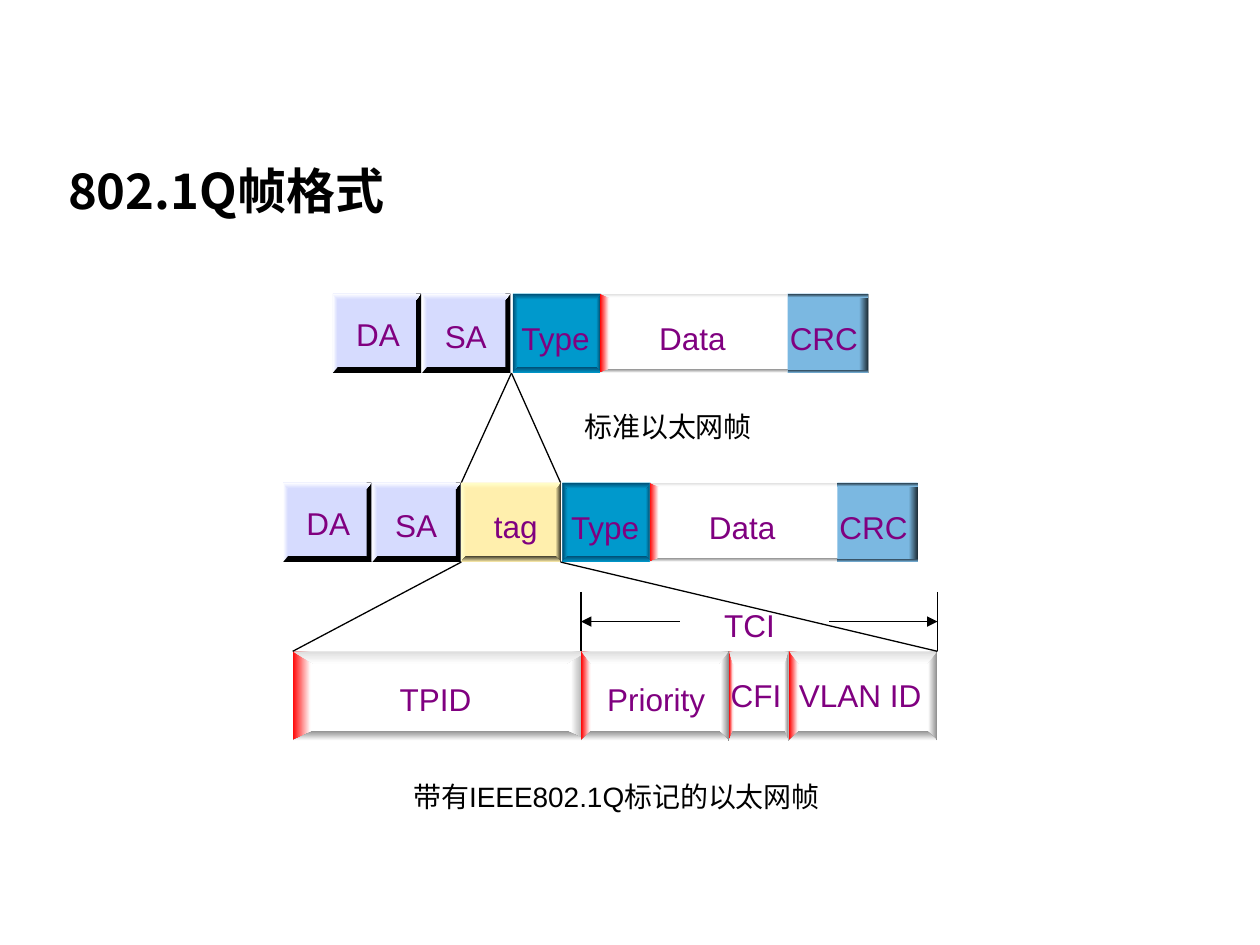
from dataclasses import dataclass

from lxml.etree import SubElement
from pptx import Presentation
from pptx.dml.color import RGBColor
from pptx.enum.shapes import MSO_CONNECTOR, MSO_SHAPE
from pptx.enum.text import MSO_ANCHOR, MSO_AUTO_SIZE, PP_ALIGN
from pptx.oxml.ns import qn
from pptx.util import Cm, Pt

RIGHT, DOWN = 0, 270
PURPLE = "800080"
ROW_H, TAG_ROW_H = 1.6, 1.8
FRAME_Y, TAGGED_Y, TAG_ROW_Y = 5.92, 9.73, 13.13


@dataclass
class Bevel:
    face: str
    left: object
    right: object
    top: object
    bottom: object
    left_w: float = 0.1
    right_w: float = 0.1
    top_h: float = 0.12
    bottom_h: float = 0.12
    inset: float = 0.1


def white_bevel(left_w, right_w, top_h=0.25, bottom_h=0.2, inset=0.2):
    return Bevel("FFFFFF", ("FF0000", "FFFFFF"), ("FFFFFF", "8F8F8F"),
                 ("DDDDDD", "FFFFFF"), ("8E8E8E", "FFFFFF"),
                 left_w, right_w, top_h, bottom_h, inset)


ADDRESS = Bevel("D6DBFE", ("FFFFFF", "D6DBFE"), "000000",
                ("FFFFFF", "D6DBFE"), "000000")
TYPE = Bevel("0099CC", ("004B70", "0099CC"), ("0099CC", "004060"),
             ("004B70", "0099CC"), ("004D74", "0099CC"))
TAG = Bevel("FFEFAD", ("FFFFCC", "FFEFAD"), ("FFEFAD", "433F2D"),
            ("FFFFCC", "FFEFAD"), ("423E2D", "FFEFAD"))
DATA = white_bevel(0.18, 0, 0.08, 0.08)
CRC = Bevel("7BB8E1", None, ("7BB8E1", "20303A"), ("20303B", "7BB8E1"),
            ("20303B", "7BB8E1"), 0, 0.18, 0.08, 0.07, 0)


def rgb(color):
    return RGBColor.from_string(color)


def paint(sp, fill, angle=RIGHT):
    sp.shadow.inherit = False
    sp.line.fill.background()
    if isinstance(fill, str):
        sp.fill.solid()
        sp.fill.fore_color.rgb = rgb(fill)
        return
    sp.fill.gradient()
    sp.fill.gradient_angle = angle
    for stop, color in zip(sp.fill.gradient_stops, fill):
        stop.color.rgb = rgb(color)


def add_rect(s, x, y, w, h, fill):
    sp = s.shapes.add_shape(MSO_SHAPE.RECTANGLE, Cm(x), Cm(y), Cm(w), Cm(h))
    paint(sp, fill)


def add_edge(s, points, fill):
    start, *rest = [(Cm(x), Cm(y)) for x, y in points]
    builder = s.shapes.build_freeform(*start)
    builder.add_line_segments(rest, close=True)
    paint(builder.convert_to_shape(), fill, DOWN)


def add_cell(s, x, y, w, h, bevel):
    right, bottom = x + w, y + h
    add_rect(s, x, y, w, h, bevel.face)
    if bevel.left_w:
        add_rect(s, x, y, bevel.left_w, h, bevel.left)
    if bevel.right_w:
        add_rect(s, right - bevel.right_w, y, bevel.right_w, h, bevel.right)
    for outer, inner, fill in ((y, y + bevel.top_h, bevel.top),
                               (bottom, bottom - bevel.bottom_h, bevel.bottom)):
        add_edge(s, [(x, outer), (x + bevel.inset, inner),
                     (right - bevel.inset, inner), (right, outer)], fill)


def format_text(tf, text, size, color, font="Arial", align=PP_ALIGN.CENTER):
    tf.text = text
    p = tf.paragraphs[0]
    p.alignment = align
    p.font.size = Pt(size)
    p.font.name = font
    p.font.color.rgb = rgb(color)
    return p


def add_label(s, text, center, y, w, size=18, color=PURPLE, h=1.02, wrap=False):
    tf = s.shapes.add_textbox(Cm(center - w / 2), Cm(y), Cm(w), Cm(h)).text_frame
    tf.word_wrap = wrap
    tf.auto_size = MSO_AUTO_SIZE.SHAPE_TO_FIT_TEXT
    format_text(tf, text, size, color)


def add_caption(s, text, center, y, w):
    add_label(s, text, center, y, w, 16, "000000", 0.94, True)


def add_line(s, x1, y1, x2, y2, arrow=False):
    line = s.shapes.add_connector(MSO_CONNECTOR.STRAIGHT,
                                  Cm(x1), Cm(y1), Cm(x2), Cm(y2))
    line.line.color.rgb = rgb("000000")
    line.line.width = Pt(0.75)
    if arrow:
        SubElement(line.line._get_or_add_ln(), qn("a:tailEnd"), type="triangle")
    SubElement(line._element.spPr, qn("a:effectLst"))


def add_frame(s, y, shift):
    fields = [
        ("SA", 8.51 - shift, 1.78, ADDRESS, 9.39 - shift, 0.35, 1.35),
        ("DA", 6.71 - shift, 1.78, ADDRESS, 7.62 - shift, 0.3, 3.45),
        ("Type", 10.34 + shift, 1.78, TYPE, 11.2 + shift, 0.38, 1.93),
        ("Data", 12.1 + shift, 5.4, DATA, 13.96 + shift, 0.38, 1.85),
        ("CRC", 15.88 + shift, 1.62, CRC, 16.61 + shift, 0.38, 1.88),
    ]
    add_fields(s, y, ROW_H, fields)


def add_fields(s, y, h, fields):
    for text, x, w, bevel, center, dy, label_w in fields:
        add_cell(s, x, y, w, h, bevel)
        add_label(s, text, center, y + dy, label_w)


def add_title(s, text):
    sp = s.shapes.title
    sp.left, sp.top, sp.width, sp.height = Cm(1.12), Cm(2.92), Cm(21.87), Cm(1.8)
    tf = sp.text_frame
    tf.vertical_anchor = MSO_ANCHOR.MIDDLE
    p = format_text(tf, text, 28, "000000", "Noto Sans CJK JP", PP_ALIGN.LEFT)
    p.font.bold = True


def main():
    prs = Presentation()
    prs.slide_width, prs.slide_height = Cm(25.4), Cm(19.05)
    s = prs.slides.add_slide(prs.slide_layouts[5])
    add_title(s, "802.1Q帧格式")

    add_frame(s, FRAME_Y, 0)
    add_caption(s, "标准以太网帧", 13.47, 8.13, 3.94)
    tag_left, tag_right = 9.3, 11.3
    for x in (tag_left, tag_right):
        add_line(s, 10.31, FRAME_Y + ROW_H, x, TAGGED_Y)

    add_frame(s, TAGGED_Y, 1)
    add_fields(s, TAGGED_Y, ROW_H, [("tag", tag_left, 2, TAG, 10.4, 0.36, 1.4)])
    add_fields(s, TAG_ROW_Y, TAG_ROW_H, [
        ("TPID", 5.9, 5.94, white_bevel(0.36, 0.33, inset=0.42), 8.78, 0.46, 1.96),
        ("Priority", 11.72, 2.97, white_bevel(0.18, 0.16), 13.23, 0.46, 2.49),
        ("CFI", 14.7, 1.19, white_bevel(0.08, 0.08, inset=0.08), 15.24, 0.38, 1.7),
        ("VLAN ID", 15.91, 2.98, white_bevel(0.18, 0.18), 17.34, 0.38, 2.97),
    ])

    tci_left, tci_right, tci_y = 11.71, 18.9, 12.53
    for x1, x2 in ((tag_left, 5.9), (tag_right, tci_right)):
        add_line(s, x1, TAGGED_Y + ROW_H, x2, TAG_ROW_Y)
    for start, end in ((13.7, tci_left), (16.72, tci_right)):
        add_line(s, end, 11.93, end, TAG_ROW_Y)
        add_line(s, start, tci_y, end, tci_y, arrow=True)
    add_label(s, "TCI", 15.11, 12.09, 1.7)
    add_caption(s, "带有IEEE802.1Q标记的以太网帧", 12.43, 15.6, 8.76)
    prs.save("out.pptx")


if __name__ == "__main__":
    main()
